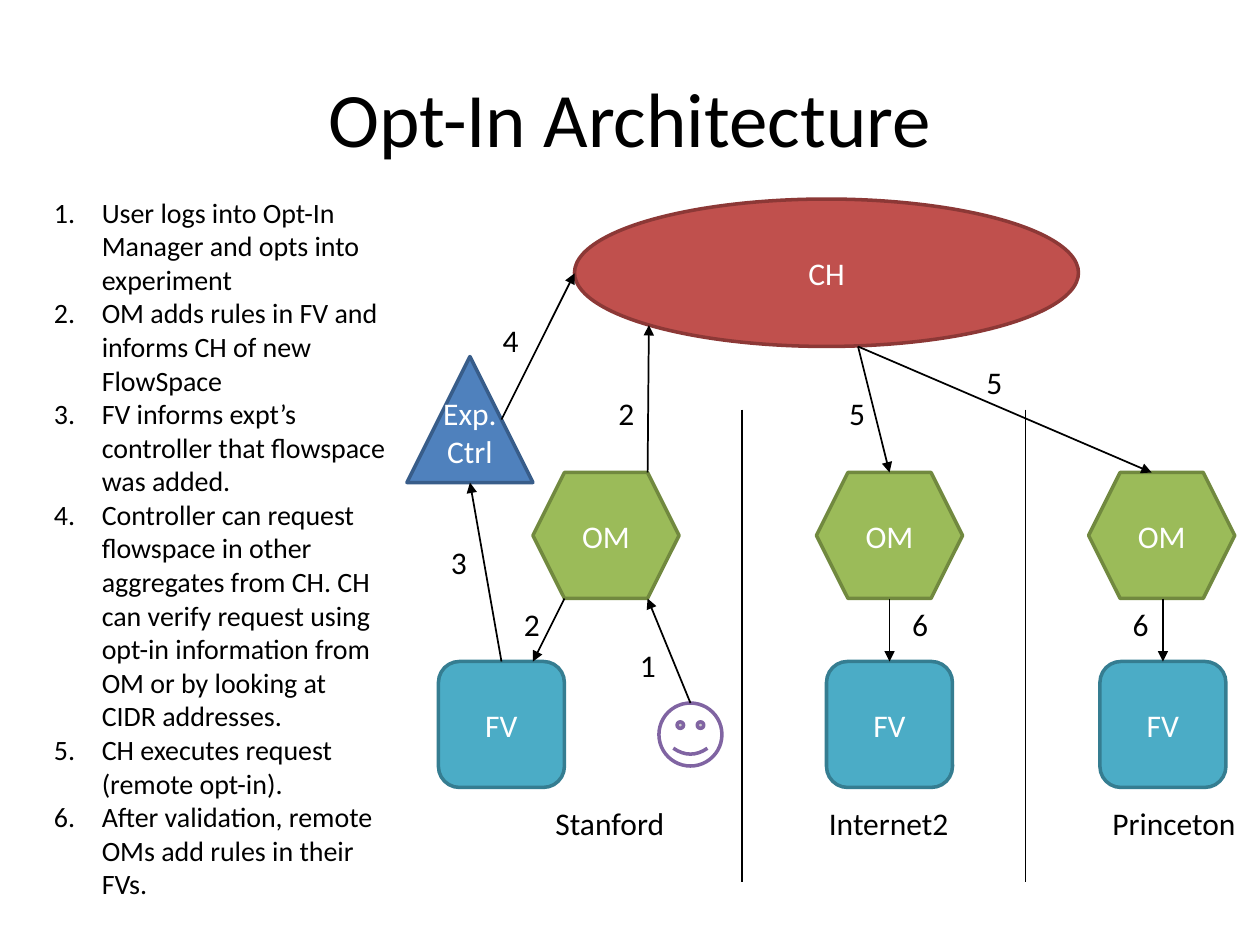
from typing import NamedTuple, Optional

from lxml.etree import SubElement
from pptx import Presentation
from pptx.dml.color import RGBColor
from pptx.enum.shapes import MSO_CONNECTOR, MSO_SHAPE
from pptx.enum.text import MSO_ANCHOR, MSO_AUTO_SIZE, PP_ALIGN
from pptx.oxml.ns import qn
from pptx.util import Inches, Pt

COLORS = {
    "black": "000000", "white": "FFFFFF",
    "red": "C0504D", "red_line": "8C3836",
    "blue": "4F81BD", "blue_line": "385D8A",
    "green": "9BBB59", "green_line": "71893F",
    "teal": "4BACC6", "teal_line": "357D91",
    "purple_line": "8064A2",
}


class Node(NamedTuple):
    kind: MSO_SHAPE
    left: float
    top: float
    width: float
    height: float
    fill: str
    line: str
    text: str = ""


class Label(NamedTuple):
    text: str
    left: float
    top: float
    width: float = 0.32


class Link(NamedTuple):
    x1: float
    y1: float
    x2: float
    y2: float
    arrow: bool = True
    begin: Optional[str] = None
    end: Optional[str] = None


class Site(NamedTuple):
    name: str
    om_left: float
    fv_left: float
    label_left: float
    label_width: float


SITES = [
    Site("Stanford", 4.23, 3.48, 4.31, 1.07),
    Site("Internet2", 6.48, 6.56, 6.48, 1.15),
    Site("Princeton", 8.64, 8.73, 8.73, 1.18),
]

NODES = [
    Node(MSO_SHAPE.OVAL, 4.56, 1.58, 4, 1.17, "red", "red_line", "CH"),
    Node(MSO_SHAPE.ISOSCELES_TRIANGLE, 3.23, 2.83, 1, 1, "blue", "blue_line", "Exp.\nCtrl"),
    Node(MSO_SHAPE.SMILEY_FACE, 5.23, 5.58, 0.5, 0.5, "white", "purple_line"),
]

LINKS = [
    Link(5.89, 3.25, 5.89, 7, arrow=False),
    Link(8.14, 3.25, 8.14, 7, arrow=False),
    Link(5.48, 5.58, 5.14, 4.75),
    Link(4.48, 4.75, 4.23, 5.25),
    Link(3.98, 5.25, 3.73, 3.83, begin="Stanford"),
    Link(5.14, 3.75, 5.15, 2.58),
    Link(3.98, 3.33, 4.56, 2.17),
    Link(6.81, 2.75, 7.06, 3.75),
    Link(6.81, 2.75, 9.14, 3.75),
    Link(7.06, 4.75, 7.06, 5.25, end="Internet2"),
    Link(9.23, 4.75, 9.23, 5.25, end="Princeton"),
]

STEP_LABELS = [
    Label("1", 4.98, 5.08),
    Label("2", 4.81, 3.08),
    Label("2", 4.06, 4.75),
    Label("3", 3.48, 4.26),
    Label("4", 3.89, 2.5),
    Label("5", 6.64, 3.08),
    Label("5", 7.73, 2.83),
    Label("6", 7.14, 4.75),
    Label("6", 8.89, 4.75),
]

STEPS = [
    "User logs into Opt-In Manager and opts into experiment",
    "OM adds rules in FV and informs CH of new FlowSpace",
    "FV informs expt’s controller that flowspace was added.",
    "Controller can request flowspace in other aggregates from CH. "
    "CH can verify request using opt-in information from OM or by looking at CIDR addresses.",
    "CH executes request (remote opt-in).",
    "After validation, remote OMs add rules in their FVs.",
]


def rgb(name: str) -> RGBColor:
    return RGBColor.from_string(COLORS[name])


def format_text(tf, size: int, color: str, align=PP_ALIGN.LEFT) -> None:
    for p in tf.paragraphs:
        p.alignment = align
        for r in p.runs:
            r.font.name = "Calibri"
            r.font.size = Pt(size)
            r.font.color.rgb = rgb(color)


def add_node(s, node: Node):
    sp = s.shapes.add_shape(node.kind, Inches(node.left), Inches(node.top),
                            Inches(node.width), Inches(node.height))
    sp.shadow.inherit = False
    sp.fill.solid()
    sp.fill.fore_color.rgb = rgb(node.fill)
    sp.line.color.rgb = rgb(node.line)
    sp.line.width = Pt(2)
    if node.text:
        tf = sp.text_frame
        tf.text = node.text
        tf.vertical_anchor = MSO_ANCHOR.MIDDLE
        if node.kind == MSO_SHAPE.ISOSCELES_TRIANGLE:
            tf.margin_left = tf.margin_right = 0
            tf.margin_bottom = Inches(0.35)
        format_text(tf, 18, "white", PP_ALIGN.CENTER)
    return sp


def add_link(s, link: Link, fvs: dict) -> None:
    cx = s.shapes.add_connector(MSO_CONNECTOR.STRAIGHT, Inches(link.x1), Inches(link.y1),
                                Inches(link.x2), Inches(link.y2))
    if link.begin:
        cx.begin_connect(fvs[link.begin], 0)
    if link.end:
        cx.end_connect(fvs[link.end], 0)
    cx.line.color.rgb = rgb("black")
    cx.line.width = Pt(1)
    if link.arrow:
        SubElement(cx.line._get_or_add_ln(), qn("a:tailEnd"), type="triangle")
    SubElement(cx._element.spPr, qn("a:effectLst"))


def add_label(s, label: Label) -> None:
    tb = s.shapes.add_textbox(Inches(label.left), Inches(label.top),
                              Inches(label.width), Inches(0.4))
    tf = tb.text_frame
    tf.text = label.text
    tf.word_wrap = False
    tf.auto_size = MSO_AUTO_SIZE.SHAPE_TO_FIT_TEXT
    format_text(tf, 18, "black")


def add_title(s, text: str) -> None:
    tf = s.shapes.add_textbox(Inches(0.5), Inches(0.3), Inches(9), Inches(1.25)).text_frame
    tf.text = text
    tf.word_wrap = True
    tf.vertical_anchor = MSO_ANCHOR.MIDDLE
    format_text(tf, 44, "black", PP_ALIGN.CENTER)


def add_steps(s, steps: list[str]) -> None:
    tf = s.shapes.add_textbox(Inches(0.33), Inches(1.5), Inches(2.83), Inches(5.7)).text_frame
    tf.text = "\n".join(steps)
    tf.word_wrap = True
    tf.auto_size = MSO_AUTO_SIZE.SHAPE_TO_FIT_TEXT
    for p in tf.paragraphs:
        pPr = p._p.get_or_add_pPr()
        pPr.set("marL", str(Inches(0.38)))
        pPr.set("indent", str(-Inches(0.38)))
        SubElement(pPr, qn("a:buFont"), typeface="+mj-lt")
        SubElement(pPr, qn("a:buAutoNum"), type="arabicPeriod")
    format_text(tf, 16, "black")


def main() -> None:
    prs = Presentation()
    prs.slide_width, prs.slide_height = Inches(10), Inches(7.5)
    s = prs.slides.add_slide(prs.slide_layouts[6])
    add_title(s, "Opt-In Architecture")
    for node in NODES:
        add_node(s, node)
    fvs = {}
    for site in SITES:
        add_node(s, Node(MSO_SHAPE.HEXAGON, site.om_left, 3.75, 1.16, 1, "green", "green_line", "OM"))
        fvs[site.name] = add_node(s, Node(MSO_SHAPE.ROUNDED_RECTANGLE, site.fv_left, 5.25, 1, 1,
                                          "teal", "teal_line", "FV"))
        add_label(s, Label(site.name, site.label_left, 6.33, site.label_width))
    for link in LINKS:
        add_link(s, link, fvs)
    for label in STEP_LABELS:
        add_label(s, label)
    add_steps(s, STEPS)
    prs.save("out.pptx")


if __name__ == "__main__":
    main()
